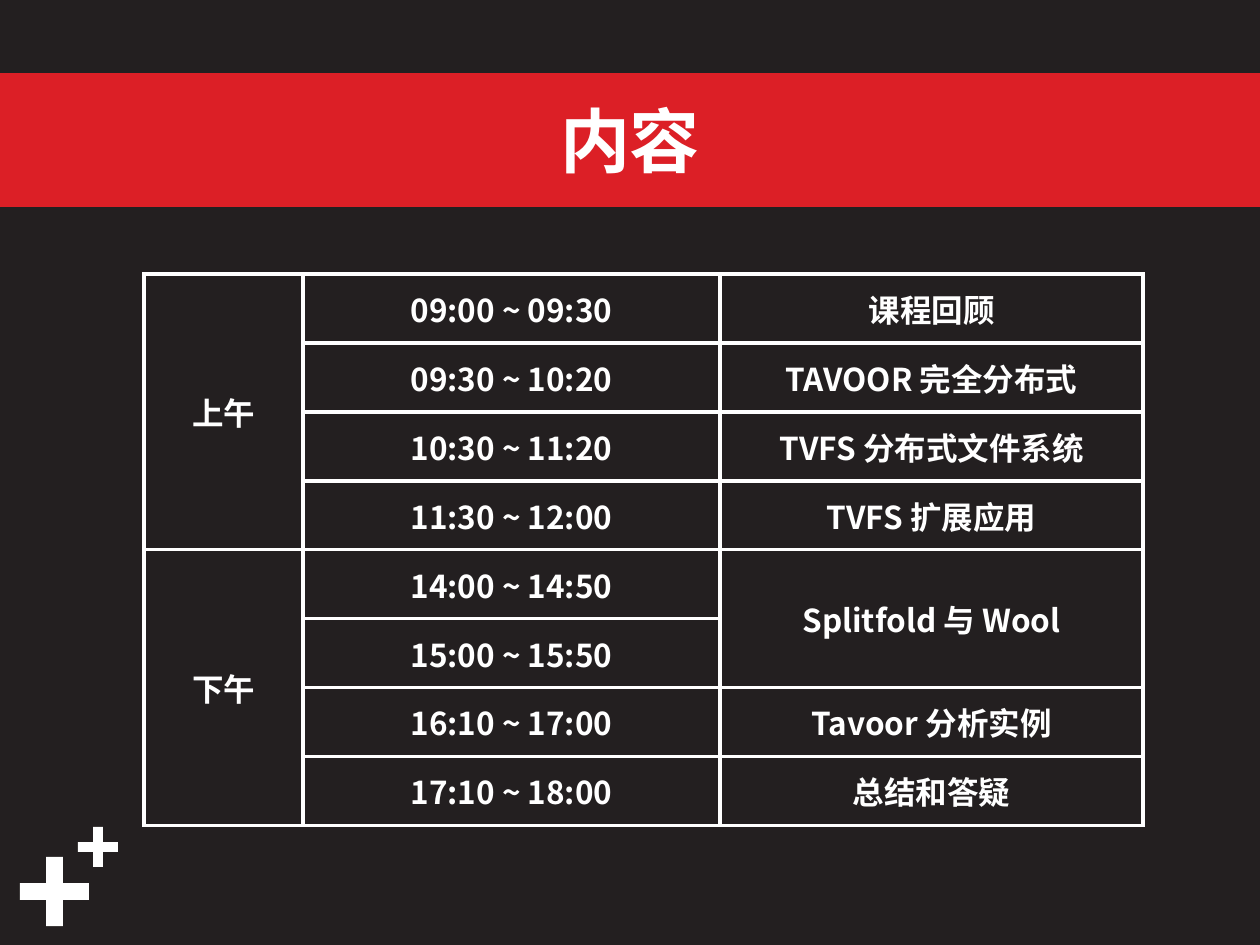
from lxml import etree
from pptx import Presentation
from pptx import util as u
from pptx.dml.color import RGBColor
from pptx.enum import shapes, text
from pptx.oxml import ns

INK = {"back": "231F20", "red": "DC1F26", "white": "FFFFFF"}
FONT = "Noto Sans CJK SC"
WIDE, HIGH = 1260, 945
COLS = [159, 417, 423]
ROW = 69
SLOTS = [
    ("上午", "09:00 ~ 09:30", "课程回顾"),
    ("", "09:30 ~ 10:20", "TAVOOR 完全分布式"),
    ("", "10:30 ~ 11:20", "TVFS 分布式文件系统"),
    ("", "11:30 ~ 12:00", "TVFS 扩展应用"),
    ("下午", "14:00 ~ 14:50", "Splitfold 与 Wool"),
    ("", "15:00 ~ 15:50", ""),
    ("", "16:10 ~ 17:00", "Tavoor 分析实例"),
    ("", "17:10 ~ 18:00", "总结和答疑"),
]
SPANS = [(0, 0, 3), (4, 0, 7), (4, 2, 5)]
PLUSES = [(20, 857, 69), (78, 827, 40)]


def px(num):
    """Turn pixels into EMU."""
    return u.Emu(round(num * 914400 / 126))


def tint(key):
    """Return the named colour."""
    return RGBColor.from_string(INK[key])


def write(frame, words, size):
    """Write one centred bold white line."""
    para = frame.paragraphs[0]
    para.alignment = text.PP_ALIGN.CENTER
    run = para.add_run()
    run.text = words
    font = run.font
    font.name, font.size, font.bold = FONT, u.Pt(size), True
    font.color.rgb = tint("white")
    east = etree.SubElement(run._r.get_or_add_rPr(), ns.qn("a:ea"))
    east.set("typeface", FONT)


def block(slide, kind, box, key):
    """Add a plain filled shape."""
    shape = slide.shapes.add_shape(kind, *map(px, box))
    shape.shadow.inherit = False
    shape.fill.solid()
    shape.fill.fore_color.rgb = tint(key)
    shape.line.fill.background()
    return shape


def banner(slide, words):
    """Add the title band."""
    band = block(slide, shapes.MSO_SHAPE.RECTANGLE, (0, 76, WIDE, 128), "red")
    band.line.color.rgb = tint("red")
    band.line.width = u.Pt(3)
    band.text_frame.vertical_anchor = text.MSO_ANCHOR.MIDDLE
    write(band.text_frame, words, 40)


def plus(slide, left, top, size):
    """Add a plus sign."""
    sign = block(slide, shapes.MSO_SHAPE.CROSS, (left, top, size, size), "white")
    sign.adjustments[0] = 0.378


def border(cell):
    """Rule all four sides of a cell."""
    props = cell._tc.get_or_add_tcPr()
    for side in ("lnL", "lnR", "lnT", "lnB"):
        line = etree.SubElement(props, ns.qn("a:" + side), w=str(u.Pt(2.25)))
        fill = etree.SubElement(line, ns.qn("a:solidFill"))
        etree.SubElement(fill, ns.qn("a:srgbClr"), val=INK["white"])


def agenda(slide):
    """Add the timetable."""
    box = (144, 274, sum(COLS), ROW * len(SLOTS))
    table = slide.shapes.add_table(len(SLOTS), len(COLS), *map(px, box)).table
    table.first_row = table.horz_banding = False
    for col, wide in zip(table.columns, COLS):
        col.width = px(wide)
    for top, col, end in SPANS:
        table.cell(top, col).merge(table.cell(end, col))
    for row, slot in enumerate(SLOTS):
        table.rows[row].height = px(ROW)
        for col, words in enumerate(slot):
            cell = table.cell(row, col)
            border(cell)
            cell.fill.background()
            cell.vertical_anchor = text.MSO_ANCHOR.MIDDLE
            if words:
                write(cell.text_frame, words, 18)


def main():
    """Build and save the slide."""
    deck = Presentation()
    deck.slide_width, deck.slide_height = px(WIDE), px(HIGH)
    slide = deck.slides.add_slide(deck.slide_layouts[6])
    slide.background.fill.solid()
    slide.background.fill.fore_color.rgb = tint("back")
    for sign in PLUSES:
        plus(slide, *sign)
    banner(slide, "内容")
    agenda(slide)
    deck.save("out.pptx")


if __name__ == "__main__":
    main()
